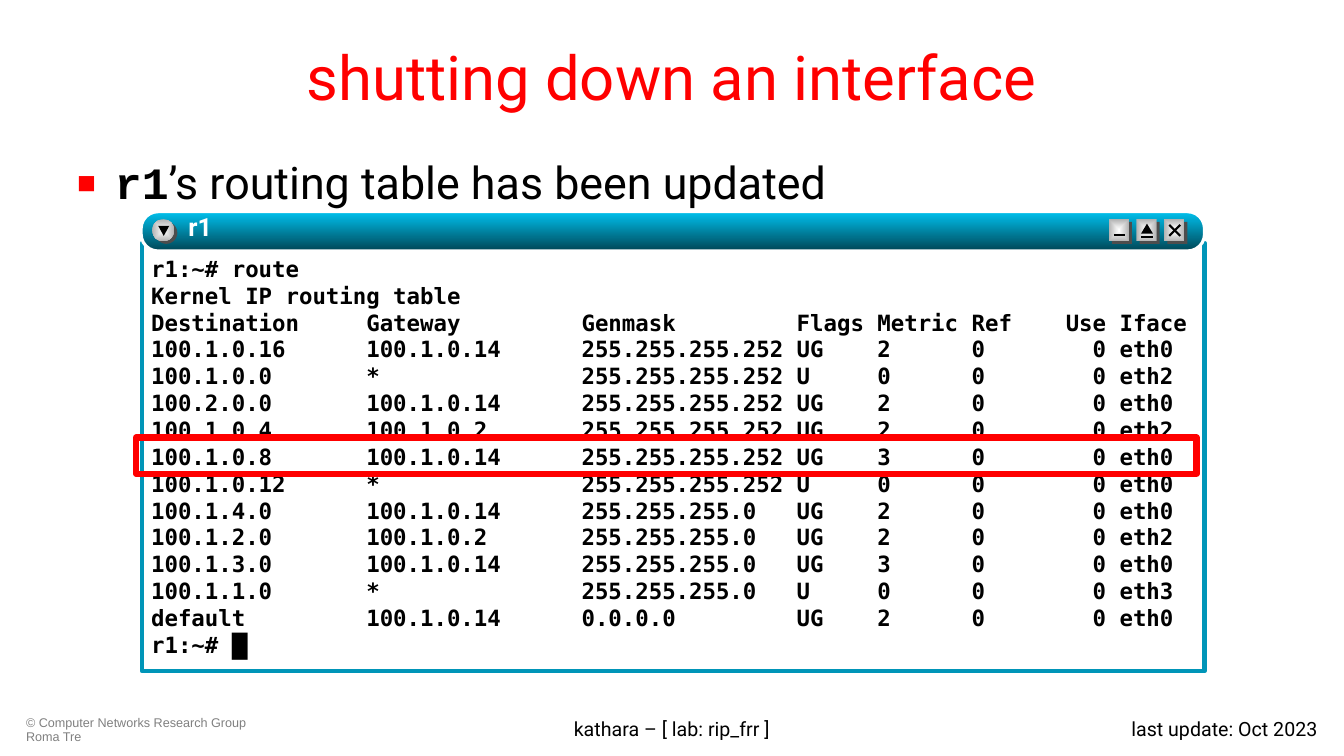
import dataclasses

import lxml.etree
import pptx
import pptx.dml.color
import pptx.enum.shapes
import pptx.enum.text
import pptx.oxml
import pptx.oxml.ns
import pptx.util

Pt = pptx.util.Pt
qn = pptx.oxml.ns.qn
RGBColor = pptx.dml.color.RGBColor
MSO_SHAPE = pptx.enum.shapes.MSO_SHAPE
PP_ALIGN = pptx.enum.text.PP_ALIGN
MSO_ANCHOR = pptx.enum.text.MSO_ANCHOR


@dataclasses.dataclass(frozen=True)
class Theme:
    red: str = "FF0000"
    black: str = "000000"
    white: str = "FFFFFF"
    grey: str = "808080"
    shade: str = "4D4D4D"
    frame: str = "0095B8"
    bar: tuple = ("00C1EE", "004656")
    button: tuple = ("FFFFFF", "B2B2B2")
    font: str = "Roboto"
    code_font: str = "DejaVu Sans Mono"
    title_size: float = 44
    body_size: float = 32
    window_size: float = 18
    code_size: float = 16
    footer_size: float = 14
    credit_size: float = 9


theme = Theme()
NAMESPACE = 'xmlns:a="http://schemas.openxmlformats.org/drawingml/2006/main"'

ROUTES = (
    ("Destination", "Gateway", "Genmask", "Flags", "Metric", "Ref", "Use", "Iface"),
    ("100.1.0.16", "100.1.0.14", "255.255.255.252", "UG", "2", "0", "0", "eth0"),
    ("100.1.0.0", "*", "255.255.255.252", "U", "0", "0", "0", "eth2"),
    ("100.2.0.0", "100.1.0.14", "255.255.255.252", "UG", "2", "0", "0", "eth0"),
    ("100.1.0.4", "100.1.0.2", "255.255.255.252", "UG", "2", "0", "0", "eth2"),
    ("100.1.0.8", "100.1.0.14", "255.255.255.252", "UG", "3", "0", "0", "eth0"),
    ("100.1.0.12", "*", "255.255.255.252", "U", "0", "0", "0", "eth0"),
    ("100.1.4.0", "100.1.0.14", "255.255.255.0", "UG", "2", "0", "0", "eth0"),
    ("100.1.2.0", "100.1.0.2", "255.255.255.0", "UG", "2", "0", "0", "eth2"),
    ("100.1.3.0", "100.1.0.14", "255.255.255.0", "UG", "3", "0", "0", "eth0"),
    ("100.1.1.0", "*", "255.255.255.0", "U", "0", "0", "0", "eth3"),
    ("default", "100.1.0.14", "0.0.0.0", "UG", "2", "0", "0", "eth0"),
)
ROUTE_FORMAT = "{:<16}{:<16}{:<16}{:<6}{:<7}{:<3}{:>7} {}"


def write(paragraph, text, size, font=theme.font, color=theme.black, bold=False,
          align=PP_ALIGN.LEFT, spacing=None):
    """Append a formatted run to the paragraph and return the run."""
    paragraph.alignment = align
    if spacing:
        paragraph.line_spacing = spacing
    run = paragraph.add_run()
    run.text = text
    run.font.color.rgb = RGBColor.from_string(color)
    run.font.size = Pt(size)
    run.font.name = font
    run.font.bold = bold
    return run


def draw(kind, left, top, width, height, fill=None, line=None, line_width=0):
    """Add a preset shape; a pair of colours as fill makes a gradient."""
    shape = slide.shapes.add_shape(kind, Pt(left), Pt(top), Pt(width), Pt(height))
    shape.shadow.inherit = False
    if isinstance(fill, tuple):
        shape.fill.gradient()
        shape.fill.gradient_angle = 270
        for stop, color, position in zip(shape.fill.gradient_stops, fill, (0, 1)):
            stop.color.rgb = RGBColor.from_string(color)
            stop.position = position
    elif fill:
        shape.fill.solid()
        shape.fill.fore_color.rgb = RGBColor.from_string(fill)
    else:
        shape.fill.background()
    if line:
        shape.line.color.rgb = RGBColor.from_string(line)
        shape.line.width = Pt(line_width)
    else:
        shape.line.fill.background()
    return shape


presentation = pptx.Presentation()
presentation.slide_width = Pt(960)
presentation.slide_height = Pt(540)
slide = presentation.slides.add_slide(presentation.slide_layouts[5])

# Title
title = slide.shapes.title
title.left, title.top, title.width, title.height = Pt(48), Pt(9.4), Pt(864), Pt(90)
title.text_frame.vertical_anchor = MSO_ANCHOR.MIDDLE
write(title.text_frame.paragraphs[0], "shutting down an interface", theme.title_size,
      color=theme.red, align=PP_ALIGN.CENTER)

# Bullet
body = slide.shapes.add_textbox(Pt(48), Pt(111.6), Pt(864), Pt(370.8))
body.text_frame.word_wrap = True
bullet = body.text_frame.paragraphs[0]
properties = bullet._p.get_or_add_pPr()
properties.set("marL", str(Pt(27)))
properties.set("indent", str(Pt(-27)))
for element in (f'<a:buClr {NAMESPACE}><a:srgbClr val="{theme.red}"/></a:buClr>',
                f'<a:buSzPct {NAMESPACE} val="70000"/>',
                f'<a:buFont {NAMESPACE} typeface="Arial"/>',
                f'<a:buChar {NAMESPACE} char="■"/>'):
    properties.append(pptx.oxml.parse_xml(element))
write(bullet, "r1", theme.body_size, font="Courier New", bold=True, spacing=0.9)
write(bullet, "’s routing table has been updated", theme.body_size)

# Footers
for text, left, width, size, color, align, spacing in (
        ("© Computer Networks Research Group Roma Tre", 11.5, 179.3,
         theme.credit_size, theme.grey, PP_ALIGN.LEFT, 0.9),
        ("kathara – [ lab: rip_frr ]", 245.5, 468.7,
         theme.footer_size, theme.black, PP_ALIGN.CENTER, None),
        ("last update: Oct 2023", 729.4, 218.9,
         theme.footer_size, theme.black, PP_ALIGN.RIGHT, None)):
    footer = slide.shapes.add_textbox(Pt(left), Pt(508.3), Pt(width), Pt(25.9))
    footer.text_frame.word_wrap = True
    write(footer.text_frame.paragraphs[0], text, size, color=color, align=align,
          spacing=spacing, font="Arial" if color == theme.grey else theme.font)

# Terminal window
draw(MSO_SHAPE.RECTANGLE, 101.5, 173.5, 758.9, 306, line=theme.frame, line_width=3)
terminal = slide.shapes.add_textbox(Pt(102.2), Pt(173.5), Pt(758.2), Pt(306))
frame = terminal.text_frame
frame.word_wrap = True
frame.margin_left = frame.margin_right = Pt(5.8)
frame.margin_top, frame.margin_bottom = Pt(8.6), Pt(2.9)
lines = ["r1:~# route", "Kernel IP routing table",
         *(ROUTE_FORMAT.format(*route) for route in ROUTES), "r1:~# "]
for number, line in enumerate(lines):
    paragraph = frame.add_paragraph() if number else frame.paragraphs[0]
    write(paragraph, line, theme.code_size, font=theme.code_font, bold=True,
          spacing=Pt(19.2))
write(paragraph, "█", theme.code_size, font="Arial", bold=True)

bar = draw(MSO_SHAPE.ROUNDED_RECTANGLE, 100.8, 151.2, 759.6, 28.1, theme.bar,
           theme.white, 2.25)
bar.adjustments[0] = 0.43

# Window buttons: a shade behind a face that is light in the middle
for kind, left, width in ((MSO_SHAPE.OVAL, 108.7, 15.8),
                          (MSO_SHAPE.RECTANGLE, 792, 14.4),
                          (MSO_SHAPE.RECTANGLE, 811.8, 14.4),
                          (MSO_SHAPE.RECTANGLE, 831.6, 14.4)):
    draw(kind, left + 2.2, 158.4, width, 15.8, theme.shade)
    face = draw(kind, left, 156.6, width, 15.8, theme.button)
    gradient = face._element.spPr.find(qn("a:gradFill"))
    gradient.replace(gradient.find(qn("a:lin")), pptx.oxml.parse_xml(
        f'<a:path {NAMESPACE} path="rect">'
        '<a:fillToRect l="50000" t="50000" r="50000" b="50000"/></a:path>'))

menu_arrow = draw(MSO_SHAPE.ISOSCELES_TRIANGLE, 113, 161.3, 7.9, 7.2, theme.black)
menu_arrow.rotation = 180
draw(MSO_SHAPE.ISOSCELES_TRIANGLE, 815, 159.8, 8.6, 7.2, theme.black)
for start_x, start_y, end_x, end_y in ((795.6, 167.8, 803.5, 167.8),
                                       (815, 169.2, 823.7, 169.2),
                                       (835.2, 168.5, 843.1, 160.6),
                                       (835.2, 160.6, 843.1, 168.5)):
    stroke = slide.shapes.add_connector(
        pptx.enum.shapes.MSO_CONNECTOR.STRAIGHT,
        Pt(start_x), Pt(start_y), Pt(end_x), Pt(end_y))
    stroke.line.color.rgb = RGBColor.from_string(theme.black)
    stroke.line.width = Pt(1.5)
    lxml.etree.SubElement(stroke._element.spPr, qn("a:effectLst"))

# Window title with a text shadow
window_title = slide.shapes.add_textbox(Pt(134.6), Pt(151.2), Pt(521.3), Pt(28.1))
frame = window_title.text_frame
frame.word_wrap = True
frame.margin_left = frame.margin_right = frame.margin_top = frame.margin_bottom = 0
run = write(frame.paragraphs[0], "r1", theme.window_size, color=theme.white, bold=True)
run.font._element.find(qn("a:solidFill")).addnext(pptx.oxml.parse_xml(
    f'<a:effectLst {NAMESPACE}><a:outerShdw dist="25400" dir="2700000">'
    f'<a:srgbClr val="{theme.black}"/></a:outerShdw></a:effectLst>'))

# Updated route
draw(MSO_SHAPE.RECTANGLE, 97.2, 312.5, 757.4, 25.9, line=theme.red, line_width=4.5)

presentation.save("out.pptx")
